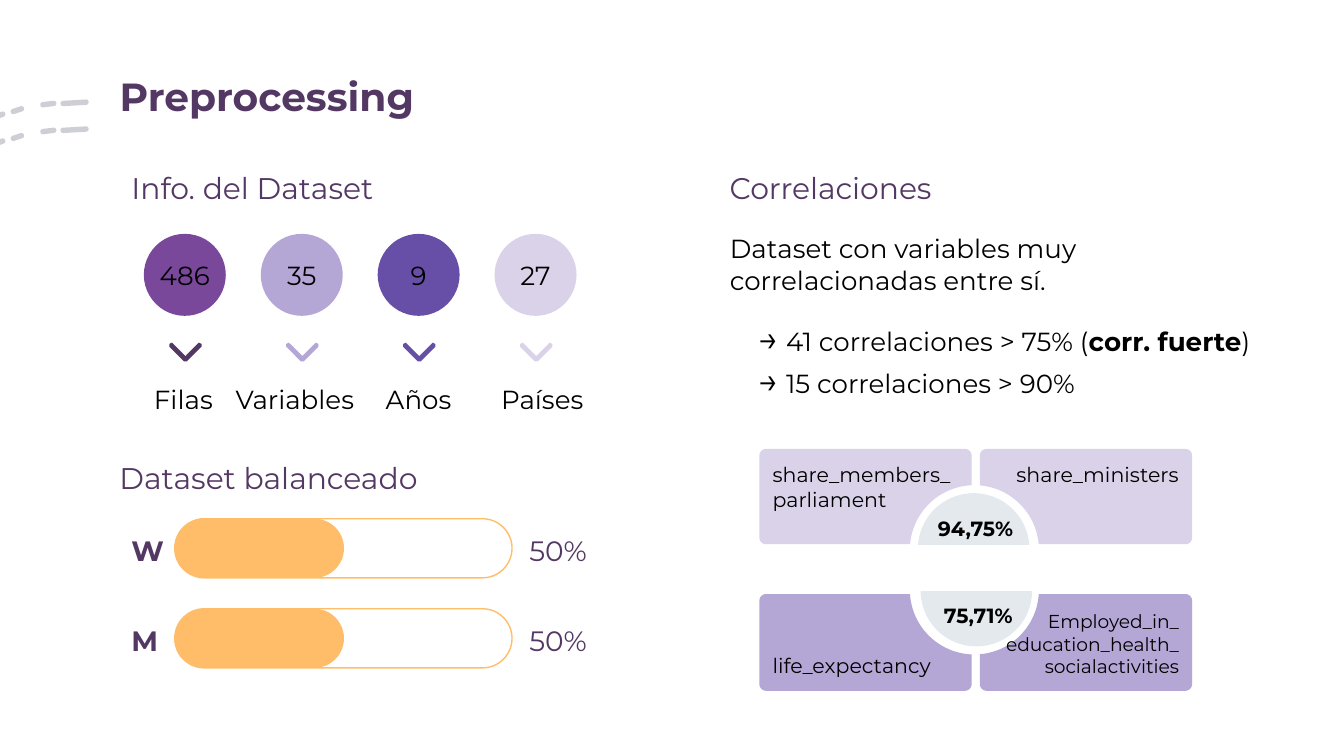
from math import acos, asin, atan2, cos, pi, sin

from lxml.etree import SubElement
from pptx import Presentation
from pptx.dml.color import RGBColor
from pptx.enum.shapes import MSO_SHAPE
from pptx.enum.text import MSO_ANCHOR, MSO_AUTO_SIZE, PP_ALIGN
from pptx.oxml.ns import qn
from pptx.util import Inches, Pt

COLORS = {
    "ink": "000000", "plum": "543864", "purple": "7A489B", "lilac": "B4A7D6",
    "violet": "674EA7", "pale": "D9D2E9", "orange": "FFBD69", "mist": "E3E9ED",
    "navy": "202040", "white": "FFFFFF",
}
LEFT, CENTER, RIGHT = PP_ALIGN.LEFT, PP_ALIGN.CENTER, PP_ALIGN.RIGHT
TOP, MIDDLE, BOTTOM = MSO_ANCHOR.TOP, MSO_ANCHOR.MIDDLE, MSO_ANCHOR.BOTTOM

TITLE = "Preprocessing"
HEADINGS = [
    ("Info. del Dataset", 0.88, 1.16),
    ("Dataset balanceado", 0.79, 3.32),
    ("Correlaciones", 5.33, 1.16),
]
COUNTS = [
    ("486", "Filas", "purple", "plum", 0.75),
    ("35", "Variables", "lilac", "lilac", 1.58),
    ("9", "Años", "violet", "violet", 2.5),
    ("27", "Países", "pale", "pale", 3.42),
]
SHARES = [("W", "50%"), ("M", "50%")]
ARROW = ("→", {"size": 19})
CORRELATIONS = [
    ["Dataset con variables muy correlacionadas entre sí."],
    [ARROW, " 41 correlaciones > 75% (", ("corr. fuerte", {"bold": True}), ")"],
    [ARROW, " 15 correlaciones > 90%"],
]
PANELS = [
    (["share_members_parliament"], -1, -1, "pale", 11),
    (["share_ministers"], 1, -1, "pale", 11),
    (["life_expectancy"], -1, 1, "lilac", 11),
    (["Employed_in_", "education_health_", "socialactivities"], 1, 1, "lilac", 10),
]
BADGES = [("94,75%", 6.83, 3.67, 3.74, LEFT), ("75,71%", 6.85, 3.98, 4.39, CENTER)]
DASHES = [
    ((-0.06, 0.88), (0.02, 0.85)),
    ((0.1, 0.83), (0.16, 0.81)),
    ((0.32, 0.78), (0.4, 0.77)),
    ((0.47, 0.77), (0.64, 0.76)),
]
CHEVRON = [
    (-0.1, 0), (-0.09, 0.01), (0, 0.1), (0.09, 0.01), (0.1, 0), (0.12, 0.01),
    (0.12, 0.03), (0.01, 0.14), (-0.01, 0.14), (-0.12, 0.03), (-0.12, 0.01),
]

deck = Presentation()
deck.slide_width = Inches(10)
deck.slide_height = deck.slide_width * 9 // 16
page = deck.slides.add_slide(deck.slide_layouts[1])


def write_text(shape, lines, size=14, color="ink", bold=False, align=LEFT,
               anchor=TOP, inset=0.1, wrap=True):
    frame = shape.text_frame
    frame.auto_size = MSO_AUTO_SIZE.NONE
    frame.word_wrap = wrap
    frame.vertical_anchor = anchor
    frame.margin_left = frame.margin_right = Inches(inset)
    frame.margin_top = frame.margin_bottom = Inches(inset)
    for index, line in enumerate(lines):
        para = frame.add_paragraph() if index else frame.paragraphs[0]
        para.alignment = align
        para.space_before = Pt(0)
        for piece in [line] if isinstance(line, str) else line:
            text, change = (piece, {}) if isinstance(piece, str) else piece
            span = para.add_run()
            span.text = text
            span.font.name = "Montserrat"
            span.font.size = Pt(change.get("size", size))
            span.font.bold = change.get("bold", bold)
            span.font.color.rgb = RGBColor.from_string(COLORS[color])


def place(shape, *area):
    shape.left, shape.top, shape.width, shape.height = map(Inches, area)
    return shape


def add_label(text, *area, **style):
    write_text(page.shapes.add_textbox(*map(Inches, area)), [text], **style)


def paint(shape, fill=None, line=None):
    shape.shadow.inherit = False
    for part, color in ((shape.fill, fill), (shape.line.fill, line)):
        if color:
            part.solid()
            part.fore_color.rgb = RGBColor.from_string(COLORS[color])
        else:
            part.background()
    if line:
        shape.line.width = Pt(0.75)
    return shape


def add_preset(kind, *area, **style):
    return paint(page.shapes.add_shape(kind, *map(Inches, area)), **style)


def add_outline(points, fill):
    start, *rest = [(Inches(x), Inches(y)) for x, y in points]
    builder = page.shapes.build_freeform(*start)
    builder.add_line_segments(rest, close=True)
    return paint(builder.convert_to_shape(), fill)


def sweep(start, end, steps):
    return [start + (end - start) * step / steps for step in range(steps + 1)]


def dash_points(start, end, radius=0.02):
    slope = atan2(end[1] - start[1], end[0] - start[0])
    return [(x + radius * cos(angle), y + radius * sin(angle))
            for (x, y), first in ((end, slope - pi / 2), (start, slope + pi / 2))
            for angle in sweep(first, first + pi, 8)]


def panel_points(side, level, axis=7.26, radius=0.05, bite=0.48, middle=7.25):
    outer, inner = axis + side * 1.61, axis + side * 0.03
    near, far, center = (4.05, 3.34, 4.09) if level < 0 else (4.42, 5.14, 4.39)
    points = []
    for x, y, across, down, start in (
        (outer, near, side, -level, pi / 2),
        (outer, far, side, level, 0),
        (inner, far, -side, level, pi / 2),
    ):
        points += [(x - across * radius * (1 - cos(angle)),
                    y - down * radius * (1 - sin(angle)))
                   for angle in sweep(start, pi / 2 - start, 6)]
    first = asin(side * (inner - middle) / bite)
    last = acos(level * (near - center) / bite)
    return points + [(middle + side * bite * sin(angle), center + level * bite * cos(angle))
                     for angle in sweep(first, last, 24)]


for drop in (0, 0.2):
    for start, end in DASHES:
        dash = add_outline([(x, y + drop) for x, y in dash_points(start, end)], "navy")
        tint = dash.fill._xPr.find(qn("a:solidFill"))[0]
        SubElement(tint, qn("a:alpha")).set("val", "22000")

title, body = page.placeholders
write_text(place(title, 0.79, 0.44, 2.68, 0.33), [TITLE], size=21, color="plum", bold=True)
for text, left, top in HEADINGS:
    add_label(text, left, top, 2.91, 0.31, size=16, color="plum")

for index, (count, name, color, mark, left) in enumerate(COUNTS):
    middle = 1.38 + index * 0.87
    circle = add_preset(MSO_SHAPE.OVAL, middle - 0.31, 1.74, 0.61, 0.61, fill=color)
    write_text(circle, [count], align=CENTER, anchor=MIDDLE, inset=0, wrap=False)
    add_outline([(middle + x, 2.55 + y) for x, y in CHEVRON], mark)
    add_label(name, left, 2.75, 1.23, 0.44, align=CENTER)

for index, (group, share) in enumerate(SHARES):
    top = 3.87 + index * 0.67
    for width, style in ((2.51, {"line": "orange"}), (1.26, {"fill": "orange"})):
        bar = add_preset(MSO_SHAPE.ROUNDED_RECTANGLE, 1.3, top - 0.01, width, 0.44, **style)
        bar.adjustments[0] = 0.5
    add_label(group, 0.88, top, 0.4, 0.29, size=15, color="plum", bold=True)
    add_label(share, 3.84, top, 0.74, 0.29, size=15, color="plum")

write_text(place(body, 5.33, 1.63, 4.19, 1.62), CORRELATIONS)
for index, para in enumerate(body.text_frame.paragraphs):
    properties = para._p.get_or_add_pPr()
    properties.set("marL", str(Inches(0.21 if index else 0)))
    properties.set("indent", "0")
    SubElement(properties, qn("a:buNone"))
    if index == 1:
        para.space_before = Pt(11)

for lines, side, level, color, size in PANELS:
    panel = add_outline(panel_points(side, level), color)
    write_text(panel, lines, size=size, align=LEFT if side < 0 else RIGHT,
               anchor=TOP if level < 0 else BOTTOM)

for text, left, top, *rest in BADGES:
    add_preset(MSO_SHAPE.OVAL, left, top, 0.83, 0.83, fill="mist")
add_preset(MSO_SHAPE.RECTANGLE, 6.49, 4.06, 1.57, 0.33, fill="white", line="white")
for text, left, top, label_top, align in BADGES:
    add_label(text, 6.88, label_top, 0.8, 0.39, size=11, bold=True, align=align)

deck.save("out.pptx")
